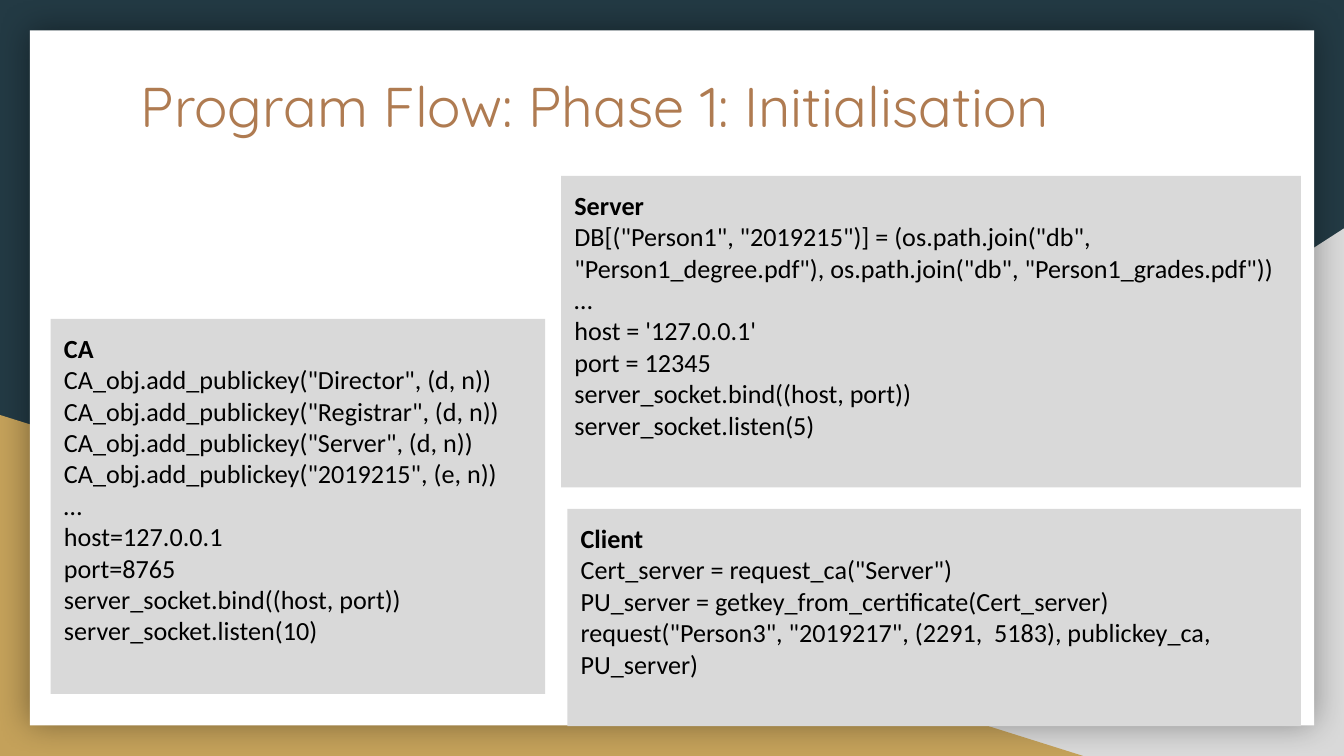
from dataclasses import dataclass

from lxml import etree
from pptx import Presentation
from pptx.dml.color import RGBColor
from pptx.enum.shapes import MSO_SHAPE
from pptx.enum.text import MSO_ANCHOR, PP_ALIGN
from pptx.oxml.ns import qn
from pptx.util import Pt

RECT = MSO_SHAPE.RECTANGLE
WEDGE = MSO_SHAPE.RIGHT_TRIANGLE
TOP = MSO_ANCHOR.TOP
LEFT = PP_ALIGN.LEFT


@dataclass(frozen=True)
class Theme:
    navy: str = "233A44"
    gold: str = "C4A15A"
    grey: str = "D9D9D9"
    white: str = "FFFFFF"
    black: str = "000000"
    brown: str = "AF7B51"
    head: int = 30
    body: int = 14
    inset: float = 7.2


theme = Theme()


def draw(kind, place, fill):
    shape = slide.shapes.add_shape(kind, *map(Pt, place))
    shape.shadow.inherit = False
    shape.fill.solid()
    shape.fill.fore_color.rgb = RGBColor.from_string(fill)
    shape.line.fill.background()
    return shape


def write(shape, lines, face, size, color):
    frame = shape.text_frame
    frame.word_wrap = True
    frame.vertical_anchor = TOP
    frame.margin_left = frame.margin_right = Pt(theme.inset)
    frame.margin_top = frame.margin_bottom = Pt(theme.inset)
    frame.text = "\n".join(lines)
    for para in frame.paragraphs:
        para.alignment = LEFT
        para.font.name = face
        for run in para.runs:
            run.font.name = face
            run.font.size = Pt(size)
            run.font.color.rgb = RGBColor.from_string(color)
    return frame


deck = Presentation()
deck.slide_width, deck.slide_height = Pt(720), Pt(405)
slide = deck.slides.add_slide(deck.slide_layouts[6])
back = slide.background.fill
back.solid()
back.fore_color.rgb = RGBColor.from_string(theme.navy)

right = draw(WEDGE, (282, 122.4, 438, 282.6), theme.grey)
right.element.spPr.xfrm.set("flipH", "1")
draw(WEDGE, (0, 222.3, 580.3, 182.7), theme.gold)

panel = draw(RECT, (16, 16.2, 688, 372.4), theme.white)
effects = panel.element.spPr.find(qn("a:effectLst"))
shade = etree.SubElement(effects, qn("a:outerShdw"), blurRad=str(Pt(18)), dist="0", dir="0", algn="ctr", rotWithShape="0")
tint = etree.SubElement(shade, qn("a:srgbClr"), val=theme.black)
etree.SubElement(tint, qn("a:alpha"), val="40000")

title = slide.shapes.add_textbox(*map(Pt, (68.4, 31, 570, 50.4)))
write(title, ["Program Flow: Phase 1: Initialisation"], "Quicksand", theme.head, theme.brown)

cards = [
    ((27.2, 170.8, 264.8, 201), [
        "CA",
        'CA_obj.add_publickey("Director", (d, n))',
        'CA_obj.add_publickey("Registrar", (d, n))',
        'CA_obj.add_publickey("Server", (d, n))',
        'CA_obj.add_publickey("2019215", (e, n))',
        "…",
        "host=127.0.0.1",
        "port=8765",
        "server_socket.bind((host, port))",
        "server_socket.listen(10)",
    ]),
    ((300.6, 94.2, 396.4, 167), [
        "Server",
        'DB[("Person1", "2019215")] = (os.path.join("db", "Person1_degree.pdf"), os.path.join("db", "Person1_grades.pdf"))',
        "…",
        "host = '127.0.0.1'",
        "port = 12345",
        "server_socket.bind((host, port))",
        "server_socket.listen(5)",
    ]),
    ((304, 272.7, 393, 116.4), [
        "Client",
        'Cert_server = request_ca("Server")',
        "PU_server = getkey_from_certificate(Cert_server)",
        'request("Person3", "2019217", (2291,  5183), publickey_ca, PU_server)',
    ]),
]
for place, lines in cards:
    card = draw(RECT, place, theme.grey)
    frame = write(card, lines, "Calibri", theme.body, theme.black)
    frame.paragraphs[0].runs[0].font.bold = True

deck.save("out.pptx")
